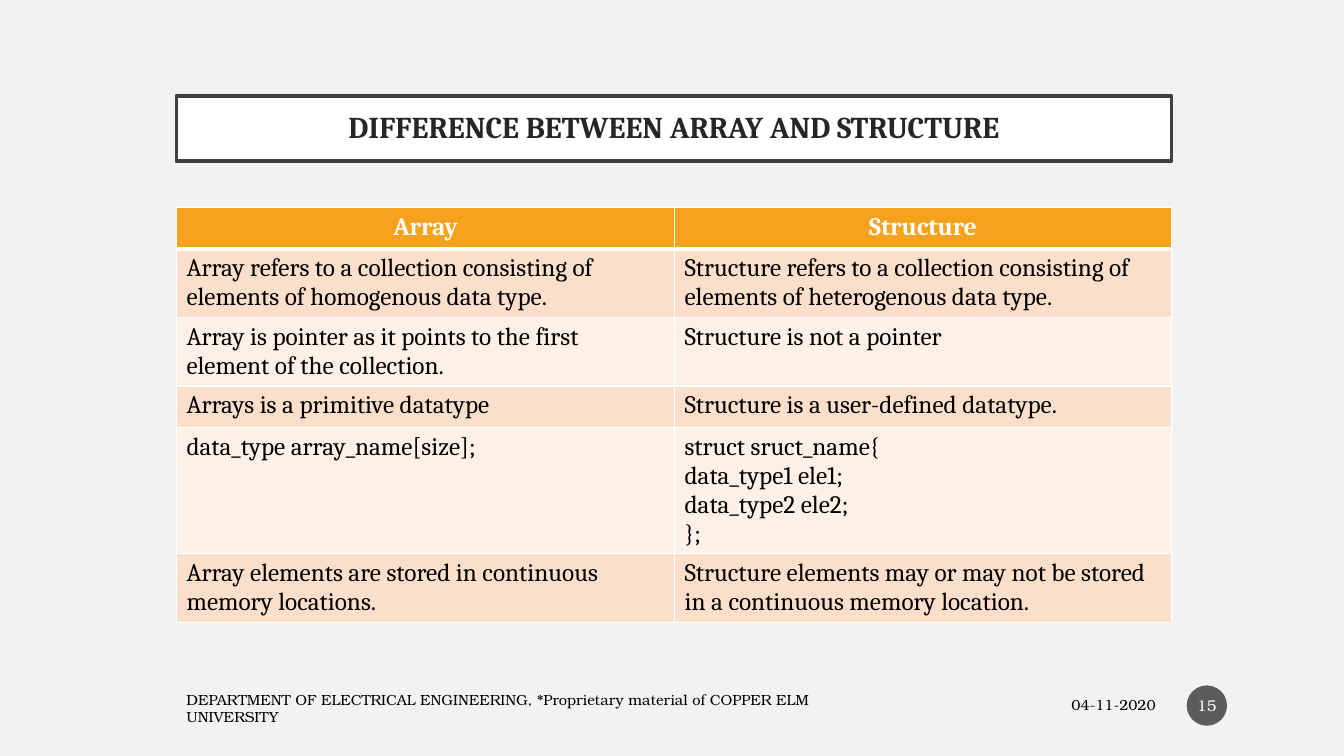
from lxml import etree
from pptx import Presentation
from pptx.dml.color import RGBColor
from pptx.enum.shapes import MSO_SHAPE
from pptx.enum.text import MSO_ANCHOR, PP_ALIGN
from pptx.oxml.ns import qn
from pptx.util import Inches, Pt

RECT, OVAL = MSO_SHAPE.RECTANGLE, MSO_SHAPE.OVAL
TOP, MIDDLE = MSO_ANCHOR.TOP, MSO_ANCHOR.MIDDLE
LEFT, CENTER, RIGHT = PP_ALIGN.LEFT, PP_ALIGN.CENTER, PP_ALIGN.RIGHT

PAPER = RGBColor(0xF2, 0xF2, 0xF2)
WHITE = RGBColor(0xFF, 0xFF, 0xFF)
BLACK = RGBColor(0x00, 0x00, 0x00)
INK = RGBColor(0x26, 0x26, 0x26)
FRAME = RGBColor(0x40, 0x40, 0x40)
BADGE = RGBColor(0x1D, 0x1D, 0x1D)
ORANGE = RGBColor(0xF6, 0xA2, 0x1D)
PEACH = RGBColor(0xFB, 0xDF, 0xCB)
CREAM = RGBColor(0xFD, 0xF0, 0xE7)

BODY, SMALL = "Cambria", "TeX Gyre Bonum"

# Row height in inches, then the two cells
ROWS = [
    (0.41, "Array", "Structure"),
    (0.68, "Array refers to a collection consisting of elements of homogenous data type.",
     "Structure refers to a collection consisting of elements of heterogenous data type."),
    (0.68, "Array is pointer as it points to the first element of the collection.",
     "Structure is not a pointer"),
    (0.41, "Arrays is a primitive datatype", "Structure is a user-defined datatype."),
    (1.25, "data_type array_name[size];",
     "struct sruct_name{\ndata_type1 ele1;\ndata_type2 ele2;\n};"),
    (0.68, "Array elements are stored in continuous memory locations.",
     "Structure elements may or may not be stored in a continuous memory location."),
]


def put_text(frame, text, size=18, font=BODY, color=BLACK, bold=False,
             align=LEFT, anchor=MIDDLE, pad=(0.1, 0.05), space=None):
    frame.word_wrap = True
    frame.vertical_anchor = anchor
    frame.margin_left = frame.margin_right = Inches(pad[0])
    frame.margin_top = frame.margin_bottom = Inches(pad[1])
    para = frame.paragraphs[0]
    para.text = text
    para.alignment = align
    para.line_spacing = space
    for run in para.runs:
        run.font.size = Pt(size)
        run.font.name = font
        run.font.bold = bold
        run.font.color.rgb = color


def add_box(slide, kind, box, text, fill, line=None, **style):
    shape = slide.shapes.add_shape(kind, *map(Inches, box))
    shape.shadow.inherit = False
    shape.fill.solid()
    shape.fill.fore_color.rgb = fill
    if line:
        shape.line.color.rgb = line
        shape.line.width = Pt(2.5)
    else:
        shape.line.fill.background()
    put_text(shape.text_frame, text, **style)
    return shape


def add_label(slide, box, text, **style):
    label = slide.shapes.add_textbox(*map(Inches, box))
    put_text(label.text_frame, text, size=10.5, font=SMALL, **style)


def fade(shape, percent):
    color = shape.fill._xPr.find(qn("a:solidFill"))[0]
    etree.SubElement(color, qn("a:alpha"), val=str(percent * 1000))


def add_edge(cell, side, width):
    props = cell._tc.get_or_add_tcPr()
    edge = etree.SubElement(props, qn("a:ln" + side), w=str(Pt(width)))
    fill = etree.SubElement(edge, qn("a:solidFill"))
    etree.SubElement(fill, qn("a:srgbClr"), val=str(WHITE))


def fill_cell(cell, text, row):
    head = row == 0
    put_text(cell.text_frame, text, color=WHITE if head else BLACK,
             bold=head, align=CENTER if head else LEFT)
    cell.vertical_anchor = TOP
    cell.margin_left = cell.margin_right = Inches(0.1)
    cell.margin_top = cell.margin_bottom = Inches(0.05)
    for side in "LRTB":
        thick = (head and side == "B") or (row == 1 and side == "T")
        add_edge(cell, side, 3 if thick else 1)
    cell.fill.solid()
    cell.fill.fore_color.rgb = ORANGE if head else PEACH if row % 2 else CREAM


def add_grid(slide, left, top, widths):
    height = sum(row[0] for row in ROWS)
    table = slide.shapes.add_table(
        len(ROWS), len(widths), Inches(left), Inches(top),
        Inches(sum(widths)), Inches(height)).table
    for col, width in zip(table.columns, widths):
        col.width = Inches(width)
    for i, (tall, *texts) in enumerate(ROWS):
        table.rows[i].height = Inches(tall)
        for j, text in enumerate(texts):
            fill_cell(table.cell(i, j), text, i)


def main():
    deck = Presentation()
    deck.slide_width, deck.slide_height = Inches(13.33), Inches(7.5)
    slide = deck.slides.add_slide(deck.slide_layouts[6])
    slide.background.fill.solid()
    slide.background.fill.fore_color.rgb = PAPER

    # Title
    add_box(slide, RECT, (1.75, 0.95, 9.87, 0.65),
            "DIFFERENCE BETWEEN ARRAY AND STRUCTURE", WHITE, FRAME, size=21.6,
            color=INK, bold=True, align=CENTER, pad=(0.2, 0.2), space=0.9)

    # Comparison table
    add_grid(slide, 1.75, 2.06, (4.94, 4.93))

    # Footer
    add_label(slide, (1.75, 6.85, 6.45, 0.35),
              "DEPARTMENT OF ELECTRICAL ENGINEERING, "
              "*Proprietary material of COPPER ELM UNIVERSITY")
    add_label(slide, (8.55, 6.82, 3.01, 0.35), "04-11-2020", align=RIGHT)
    badge = add_box(slide, OVAL, (11.77, 6.8, 0.4, 0.4), "15", BADGE, size=11,
                    font=SMALL, color=WHITE, align=CENTER, pad=(0.02, 0.05))
    fade(badge, 70)

    deck.save("out.pptx")


if __name__ == "__main__":
    main()
